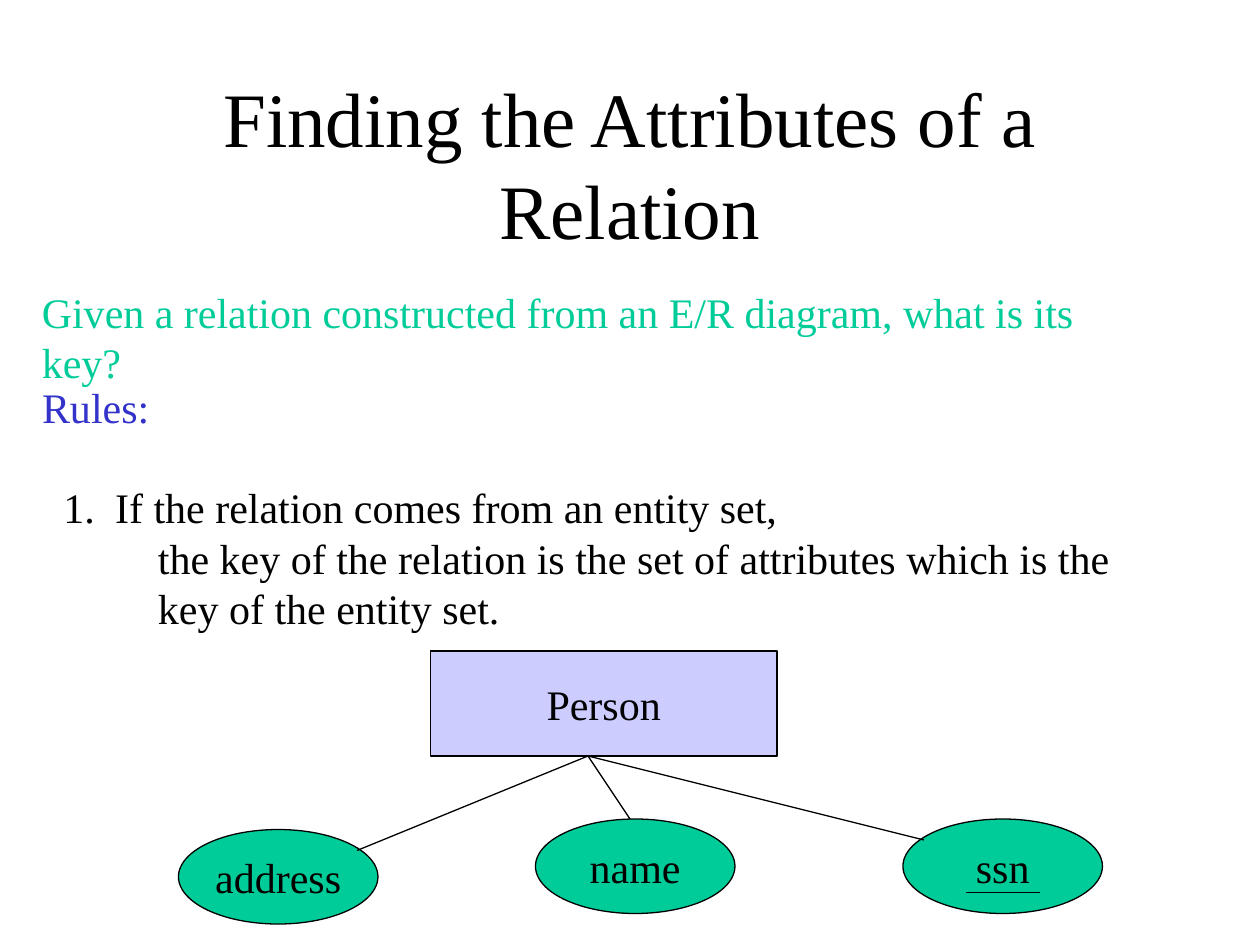
from dataclasses import dataclass

from lxml import etree
from pptx import Presentation, util as u
from pptx.dml.color import RGBColor
from pptx.enum import shapes as sh, text as tx
from pptx.oxml.ns import qn


@dataclass(frozen=True)
class Theme:
    font: str = "Times New Roman"
    ink: str = "000000"
    green: str = "00CC99"
    blue: str = "3333CC"
    pale: str = "CCCCFF"
    head: int = 44
    body: int = 24
    lead: float = 1.2
    rule: float = 0.75


T = Theme()
COLS, ROWS = 120, 90
WIDE, HIGH = u.Inches(10), u.Inches(7.5)


def spot(col, row):
    return round(WIDE * col / COLS), round(HIGH * row / ROWS)


def place(box, col, row, wide, high):
    box.left, box.top = spot(col, row)
    box.width, box.height = spot(wide, high)


def style(para, color, size=T.body, gap=0):
    para.line_spacing = u.Pt(size * T.lead)
    para.space_before = u.Pt(gap)
    font = para.font
    font.name, font.size = T.font, u.Pt(size)
    font.color.rgb = RGBColor.from_string(color)


def indent(para, left, hang=0, mark="a:buNone", **attrs):
    props = para._p.get_or_add_pPr()
    props.set("marL", str(u.Inches(left)))
    props.set("indent", str(-u.Inches(hang)))
    etree.SubElement(props, qn(mark), attrs)


def title(slide, words):
    box = slide.shapes.title
    place(box, 9, 8, 102, 15)
    frame = box.text_frame
    frame.text = words
    frame.auto_size = tx.MSO_AUTO_SIZE.NONE
    frame.vertical_anchor = tx.MSO_ANCHOR.MIDDLE
    para = frame.paragraphs[0]
    para.alignment = tx.PP_ALIGN.CENTER
    style(para, T.ink, T.head)


def ask(slide, words):
    box = slide.shapes.add_textbox(*spot(2.8, 26.7), *spot(109.2, 6))
    frame = box.text_frame
    frame.word_wrap = False
    frame.text = words
    style(frame.paragraphs[0], T.green)


def rules(slide, head, item, rest):
    box = slide.placeholders[1]
    place(box, 2.8, 35.7, 104, 25.2)
    frame = box.text_frame
    frame.auto_size = tx.MSO_AUTO_SIZE.NONE
    frame.margin_right = 0
    frame.text = "\n".join((head, item, rest))
    first, point, more = frame.paragraphs
    indent(first, 0)
    indent(point, 0.58, 0.41, "a:buAutoNum", type="arabicPeriod")
    indent(more, 0.92)
    style(first, T.blue)
    style(point, T.ink, gap=T.body * T.lead)
    style(more, T.ink)


def node(slide, kind, words, fill, *area):
    box = slide.shapes.add_shape(kind, 0, 0, 0, 0)
    place(box, *area)
    box.shadow.inherit = False
    box.fill.solid()
    box.fill.fore_color.rgb = RGBColor.from_string(fill)
    box.line.color.rgb = RGBColor.from_string(T.ink)
    box.line.width = u.Pt(T.rule)
    frame = box.text_frame
    frame.word_wrap = False
    frame.vertical_anchor = tx.MSO_ANCHOR.MIDDLE
    frame.text = words
    para = frame.paragraphs[0]
    para.alignment = tx.PP_ALIGN.CENTER
    style(para, T.ink)


def line(slide, start, end):
    link = slide.shapes.add_connector(
        sh.MSO_CONNECTOR.STRAIGHT, *spot(*start), *spot(*end))
    link.line.color.rgb = RGBColor.from_string(T.ink)
    link.line.width = u.Pt(T.rule)
    etree.SubElement(link._element.spPr, qn("a:effectLst"))


def main():
    deck = Presentation()
    deck.slide_width, deck.slide_height = WIDE, HIGH
    slide = deck.slides.add_slide(deck.slide_layouts[1])
    title(slide, "Finding the Attributes of a Relation")
    ask(slide, "Given a relation constructed from an E/R diagram, what is its key?")
    rules(slide, "Rules:", "If the relation comes from an entity set,",
          "the key of the relation is the set of attributes which is the "
          "key of the entity set.")
    node(slide, sh.MSO_SHAPE.RECTANGLE, "Person", T.pale, 41, 62, 33, 10)
    fields = (("address", 17, 79, (34, 81)),
              ("name", 51, 78, (60, 78)),
              ("ssn", 86, 78, (88, 80)))
    for name, col, row, end in fields:
        node(slide, sh.MSO_SHAPE.OVAL, name, T.green, col, row, 19, 9)
        line(slide, (56, 72), end)
    line(slide, (92, 85), (99, 85))
    deck.save("out.pptx")


if __name__ == "__main__":
    main()
